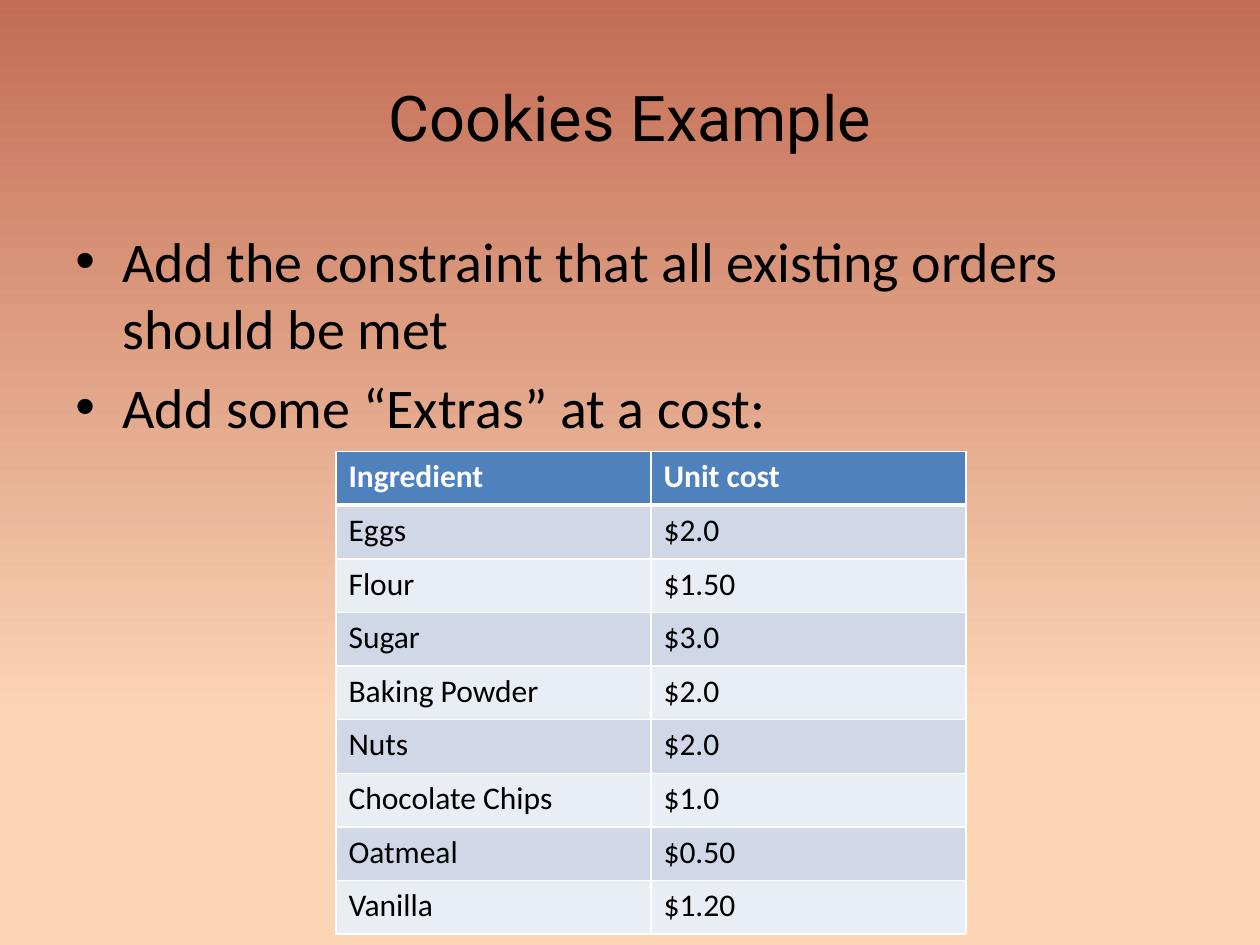
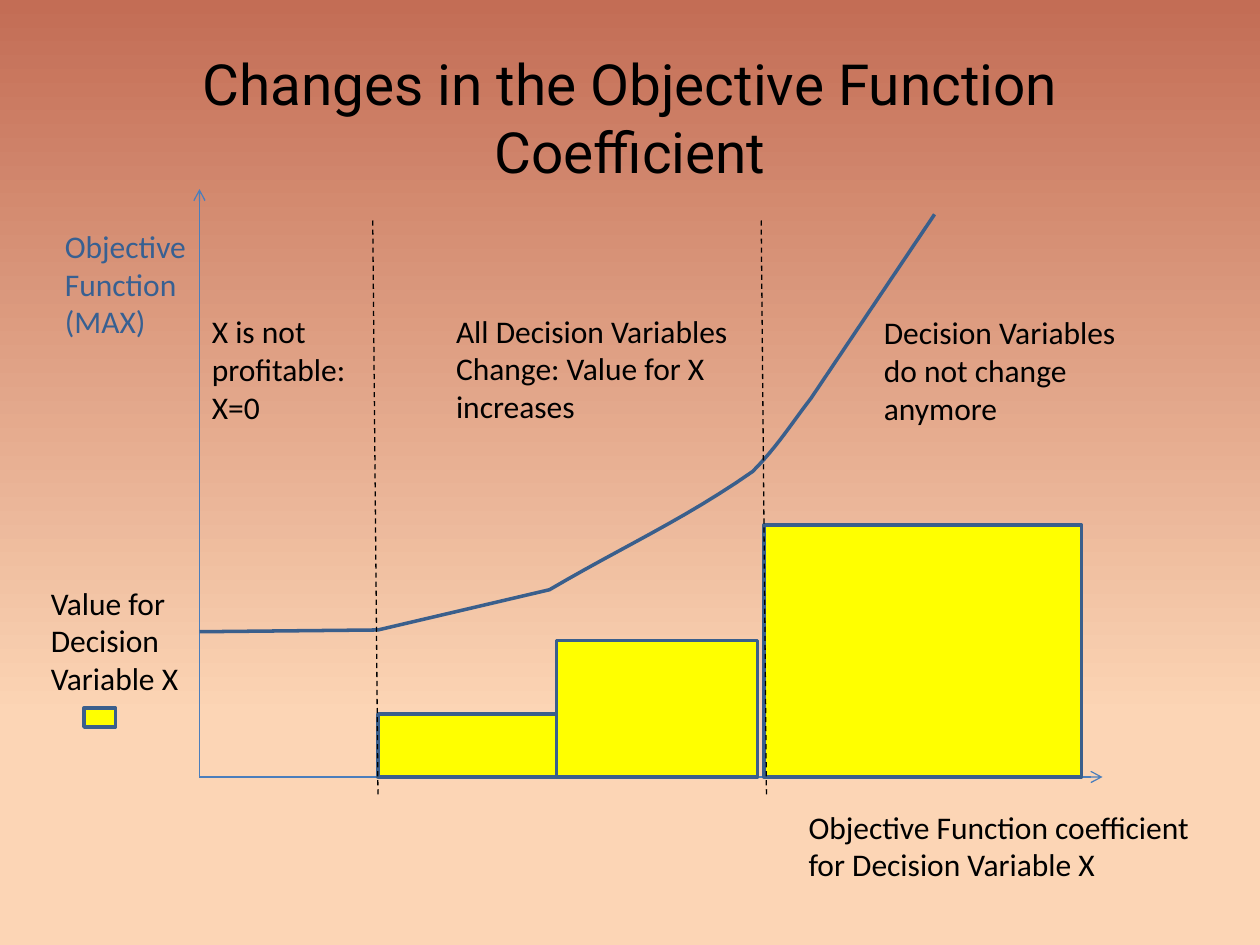
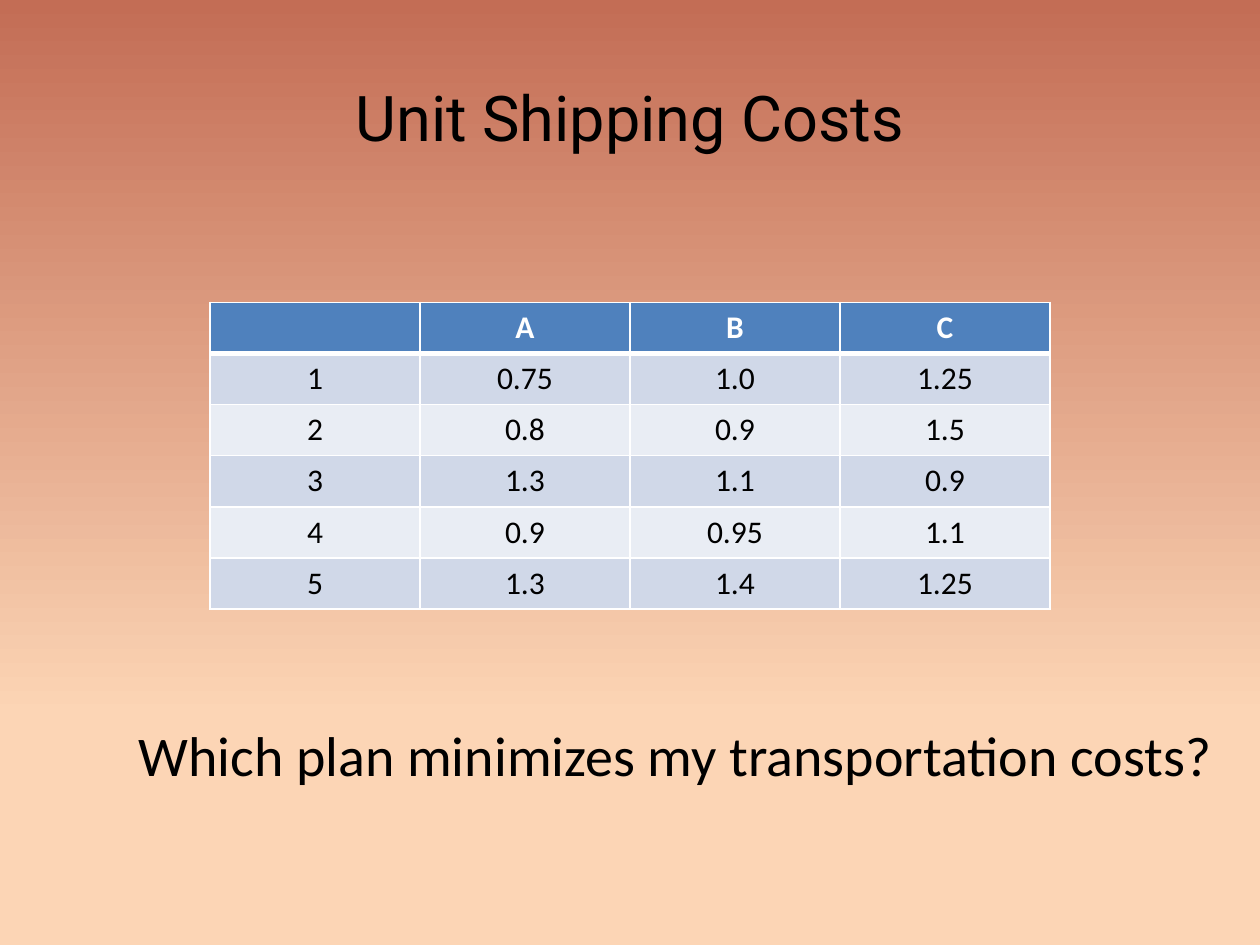
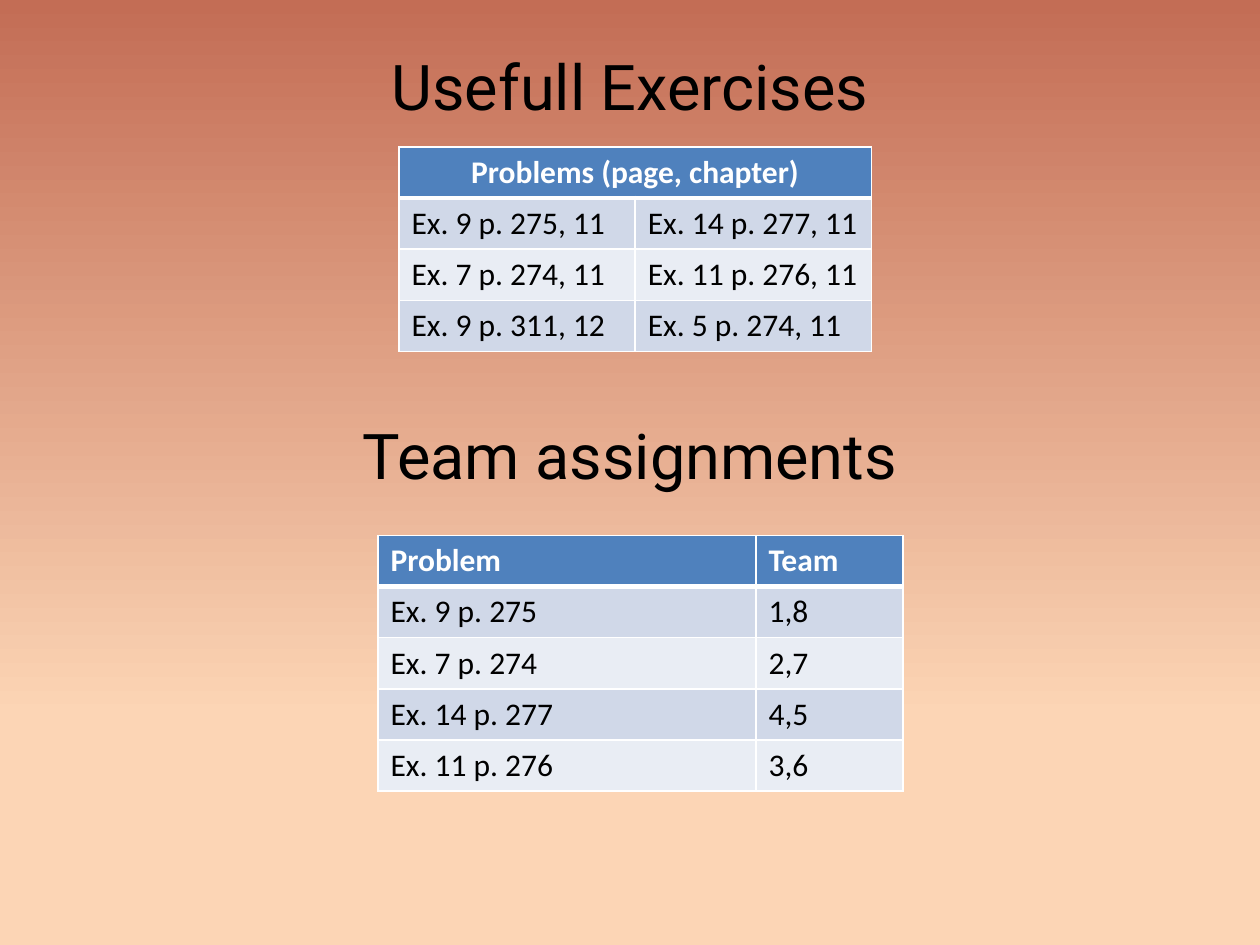
"""Build four slides on optimisation exercises."""
from collections import namedtuple
from dataclasses import dataclass

from lxml import etree
from pptx import Presentation
from pptx import util as u
from pptx.dml import color
from pptx.enum import dml, shapes, text
from pptx.oxml import ns

Box = namedtuple("Box", "left top width height")
Style = namedtuple("Style", "name size colour bold", defaults=(False,))


@dataclass(frozen=True)
class Theme:
    """Colours and type styles of the deck."""

    sand: str = "FCD5B5"
    clay: str = "C36D55"
    black: str = "000000"
    white: str = "FFFFFF"
    header: str = "4F81BD"
    bands: tuple = ("D0D8E8", "E9EDF4")
    axis: str = "4B7EBC"
    outline: str = "3A5F8C"
    bar: str = "FFFF00"
    title: Style = Style("Roboto", 36, "000000")
    long_title: Style = Style("Roboto", 32.4, "000000")
    body: Style = Style("Calibri", 32, "000000")
    label: Style = Style("Calibri", 18, "000000")
    axis_label: Style = Style("Calibri", 18, "376092")
    head_cell: Style = Style("Calibri", 18, "FFFFFF", True)


THEME = Theme()
TITLE_BOX = Box(36, 21.6, 648, 90)
ROW_HEIGHT = 29.2
CENTRE = {"alignment": text.PP_ALIGN.CENTER}
LABEL_FRAME = {"word_wrap": False, "auto_size": text.MSO_AUTO_SIZE.SHAPE_TO_FIT_TEXT}


def rgb(code):
    """Turn a hex code into a colour."""
    return color.RGBColor.from_string(code)


def apply(target, values):
    """Set every attribute named in values."""
    for name, value in values.items():
        setattr(target, name, value)


def points(values):
    """Turn numbers into lengths in points."""
    return [u.Pt(value) for value in values]


def fill_paragraph(para, words, style, layout):
    """Write one styled span into a paragraph."""
    apply(para, layout)
    span = para.add_run()
    span.text = words
    apply(span.font, {"name": style.name, "size": u.Pt(style.size), "bold": style.bold})
    span.font.color.rgb = rgb(style.colour)


def add_text(page, box, lines, style, layout={}, frame_values={"word_wrap": True}):
    """Add a text box with one paragraph a line."""
    frame = page.shapes.add_textbox(*points(box)).text_frame
    apply(frame, frame_values)
    for index, words in enumerate(lines):
        para = frame.add_paragraph() if index else frame.paragraphs[0]
        fill_paragraph(para, words, style, layout)
    return frame


def add_title(page, words, style=THEME.title, box=TITLE_BOX):
    """Add a centred heading in its box."""
    frame_values = {"word_wrap": True, "vertical_anchor": text.MSO_ANCHOR.MIDDLE}
    add_text(page, box, [words], style, CENTRE, frame_values)


def add_bullets(page, box, lines):
    """Add a bulleted list with hanging indents."""
    frame = add_text(page, box, lines, THEME.body, {"space_before": u.Pt(6.4)})
    for para in frame.paragraphs:
        props = para._p.get_or_add_pPr()
        apply_xml(props, {"marL": u.Pt(27), "indent": u.Pt(-27)})
        etree.SubElement(props, ns.qn("a:buFont"), typeface="Arial")
        etree.SubElement(props, ns.qn("a:buChar"), char="•")


def apply_xml(element, values):
    """Set every XML attribute named in values."""
    for name, value in values.items():
        element.set(name, str(int(value)))


def add_cell_borders(cell, bottom):
    """Draw white borders with the given bottom width."""
    props = cell._tc.get_or_add_tcPr()
    for index, (side, width) in enumerate(zip("LRTB", (1, 1, 1, bottom))):
        line = etree.Element(ns.qn(f"a:ln{side}"), w=str(int(u.Pt(width))))
        solid = etree.SubElement(line, ns.qn("a:solidFill"))
        etree.SubElement(solid, ns.qn("a:srgbClr"), val=THEME.white)
        props.insert(index, line)


def add_grid(page, box, rows, shares, layout={}):
    """Add a banded table whose columns split the box by shares."""
    table = page.shapes.add_table(len(rows), len(shares), *points(box)).table
    for column, share in zip(table.columns, shares):
        column.width = u.Pt(box.width * share / sum(shares))
    for row_index, row in enumerate(rows):
        table.rows[row_index].height = u.Pt(box.height / len(rows))
        is_head = row_index == 0
        fill = THEME.header if is_head else THEME.bands[(row_index - 1) % 2]
        style = THEME.head_cell if is_head else THEME.label
        for column_index, words in enumerate(row):
            cell = table.cell(row_index, column_index)
            cell.fill.solid()
            cell.fill.fore_color.rgb = rgb(fill)
            add_cell_borders(cell, 3 if is_head else 1)
            if words:
                fill_paragraph(cell.text_frame.paragraphs[0], words, style, layout)
    return table


def add_line(page, start, end, colour, dash=None, arrow=False):
    """Add a thin straight line, dashed or with an arrowhead."""
    line = page.shapes.add_connector(shapes.MSO_CONNECTOR.STRAIGHT, *points(start + end))
    apply(line.line, {"width": u.Pt(0.75), "dash_style": dash})
    line.line.color.rgb = rgb(colour)
    props = line.element.spPr
    if arrow:
        etree.SubElement(props.find(ns.qn("a:ln")), ns.qn("a:tailEnd"), type="arrow")
    etree.SubElement(props, ns.qn("a:effectLst"))


def outline(shape):
    """Give a shape the common outline and no shadow."""
    shape.shadow.inherit = False
    shape.line.width = u.Pt(2)
    shape.line.color.rgb = rgb(THEME.outline)


def add_bar(page, box):
    """Add a yellow outlined rectangle."""
    bar = page.shapes.add_shape(shapes.MSO_SHAPE.RECTANGLE, *points(box))
    bar.fill.solid()
    bar.fill.fore_color.rgb = rgb(THEME.bar)
    outline(bar)


def bezier(start, first, second, end, steps=12):
    """Sample a cubic curve after its start point."""
    for step in range(1, steps + 1):
        t = step / steps
        weights = ((1 - t) ** 3, 3 * t * (1 - t) ** 2, 3 * t * t * (1 - t), t ** 3)
        yield tuple(
            sum(weight * value for weight, value in zip(weights, axis))
            for axis in zip(start, first, second, end)
        )


def add_curve(page, vertices):
    """Add an open outline through the vertices."""
    builder = page.shapes.build_freeform(*points(vertices[0]))
    builder.add_line_segments([points(vertex) for vertex in vertices[1:]], close=False)
    curve = builder.convert_to_shape()
    curve.fill.background()
    outline(curve)


def add_diagram(page, box):
    """Draw objective value and bars of X against the coefficient."""
    base, axis_x = 336, 92

    def at(x, y):
        return box.left + x, box.top + y

    for end in ((axis_x, 0), (608, base)):
        add_line(page, at(axis_x, base), at(*end), THEME.axis, arrow=True)

    bend, knee = (292, 229), (408, 161.5)
    vertices = [(axis_x, 253), (194, 252), bend]
    vertices += bezier(bend, (331, 206), (369.5, 188.5), knee)
    vertices += bezier(knee, (422, 147.5), (431, 133), (441.5, 119.5))
    vertices.append((512, 14.5))
    add_curve(page, [at(*vertex) for vertex in vertices])

    for left, width, height in ((194, 102, 36), (296, 115, 78), (414.5, 181.5, 144)):
        add_bar(page, Box(*at(left, base - height), width, height))
    add_bar(page, Box(*at(26, 296.5), 18, 11))

    for x in (191, 413):
        add_line(page, at(x, 18), at(x + 3, 348), THEME.black, dml.MSO_LINE.DASH)

    labels = (
        (Box(8, 18, 84, 73), THEME.axis_label, ["Objective", "Function", "(MAX)"]),
        (Box(433, 350, 235, 51), THEME.label,
         ["Objective Function coefficient", "for Decision Variable X"]),
        (Box(476, 67.5, 148, 73), THEME.label,
         ["Decision Variables", "do not change", "anymore"]),
        (Box(92, 67, 91, 73), THEME.label, ["X is not", "profitable:", "X=0"]),
        (Box(231.5, 66.5, 171, 73), THEME.label,
         ["All Decision Variables", "Change: Value for X", "increases"]),
        (Box(0, 222, 89, 94), THEME.label, ["Value for", "Decision", "Variable X"]),
    )
    for spot, style, lines in labels:
        place = Box(*at(spot.left, spot.top), spot.width, spot.height)
        add_text(page, place, lines, style, frame_values=LABEL_FRAME)


def cookies_page(page):
    """Fill the page on extra ingredients."""
    add_title(page, "Cookies Example")
    add_bullets(page, Box(36, 126, 648, 356.4), [
        "Add the constraint that all existing orders should be met",
        "Add some “Extras” at a cost:",
    ])
    rows = [
        ("Ingredient", "Unit cost"),
        ("Eggs", "$2.0"),
        ("Flour", "$1.50"),
        ("Sugar", "$3.0"),
        ("Baking Powder", "$2.0"),
        ("Nuts", "$2.0"),
        ("Chocolate Chips", "$1.0"),
        ("Oatmeal", "$0.50"),
        ("Vanilla", "$1.20"),
    ]
    add_grid(page, Box(192, 258, 360, 276), rows, (1, 1))


def coefficient_page(page):
    """Fill the page on the objective coefficient."""
    add_title(page, "Changes in the Objective Function Coefficient", THEME.long_title)
    add_diagram(page, Box(22, 108, 668, 402))


def shipping_page(page):
    """Fill the page on shipping costs."""
    add_title(page, "Unit Shipping Costs")
    rows = [
        ("", "A", "B", "C"),
        ("1", "0.75", "1.0", "1.25"),
        ("2", "0.8", "0.9", "1.5"),
        ("3", "1.3", "1.1", "0.9"),
        ("4", "0.9", "0.95", "1.1"),
        ("5", "1.3", "1.4", "1.25"),
    ]
    add_grid(page, Box(120, 172.8, 480, ROW_HEIGHT * len(rows)), rows, (1, 1, 1, 1), CENTRE)
    question = "Which plan minimizes my transportation costs?"
    add_text(page, Box(72, 408, 635, 46), [question], THEME.body, frame_values=LABEL_FRAME)


def exercises_page(page):
    """Fill the page on exercises and teams."""
    add_title(page, "Team assignments", box=TITLE_BOX._replace(top=214.5))
    teams = [
        ("Problem", "Team"),
        ("Ex. 9 p. 275", "1,8"),
        ("Ex. 7 p. 274", "2,7"),
        ("Ex. 14 p. 277", "4,5"),
        ("Ex. 11 p. 276", "3,6"),
    ]
    add_grid(page, Box(216, 306, 300, ROW_HEIGHT * len(teams)), teams, (18, 7))
    add_title(page, "Usefull Exercises", box=TITLE_BOX._replace(top=3.6))
    problems = [
        ("Problems (page, chapter)", ""),
        ("Ex. 9 p. 275, 11", "Ex. 14 p. 277, 11"),
        ("Ex. 7 p. 274, 11", "Ex. 11 p. 276, 11"),
        ("Ex. 9 p. 311, 12", "Ex. 5 p. 274, 11"),
    ]
    table = add_grid(page, Box(228, 84, 270, ROW_HEIGHT * len(problems)), problems, (1, 1))
    heading = table.cell(0, 0)
    heading.merge(table.cell(0, 1))
    apply(heading.text_frame.paragraphs[0], CENTRE)


def paint_background(master):
    """Give all pages the upward sand to clay gradient."""
    fill = master.background.fill
    fill.gradient()
    fill.gradient_angle = 90
    for stop, place, code in zip(fill.gradient_stops, (0.24, 1), (THEME.sand, THEME.clay)):
        stop.position = place
        stop.color.rgb = rgb(code)


def main():
    """Build and save the deck."""
    deck = Presentation()
    apply(deck, {"slide_width": u.Pt(720), "slide_height": u.Pt(540)})
    paint_background(deck.slide_master)
    for fill_page in (cookies_page, coefficient_page, shipping_page, exercises_page):
        fill_page(deck.slides.add_slide(deck.slide_layouts[6]))
    deck.save("out.pptx")


if __name__ == "__main__":
    main()
